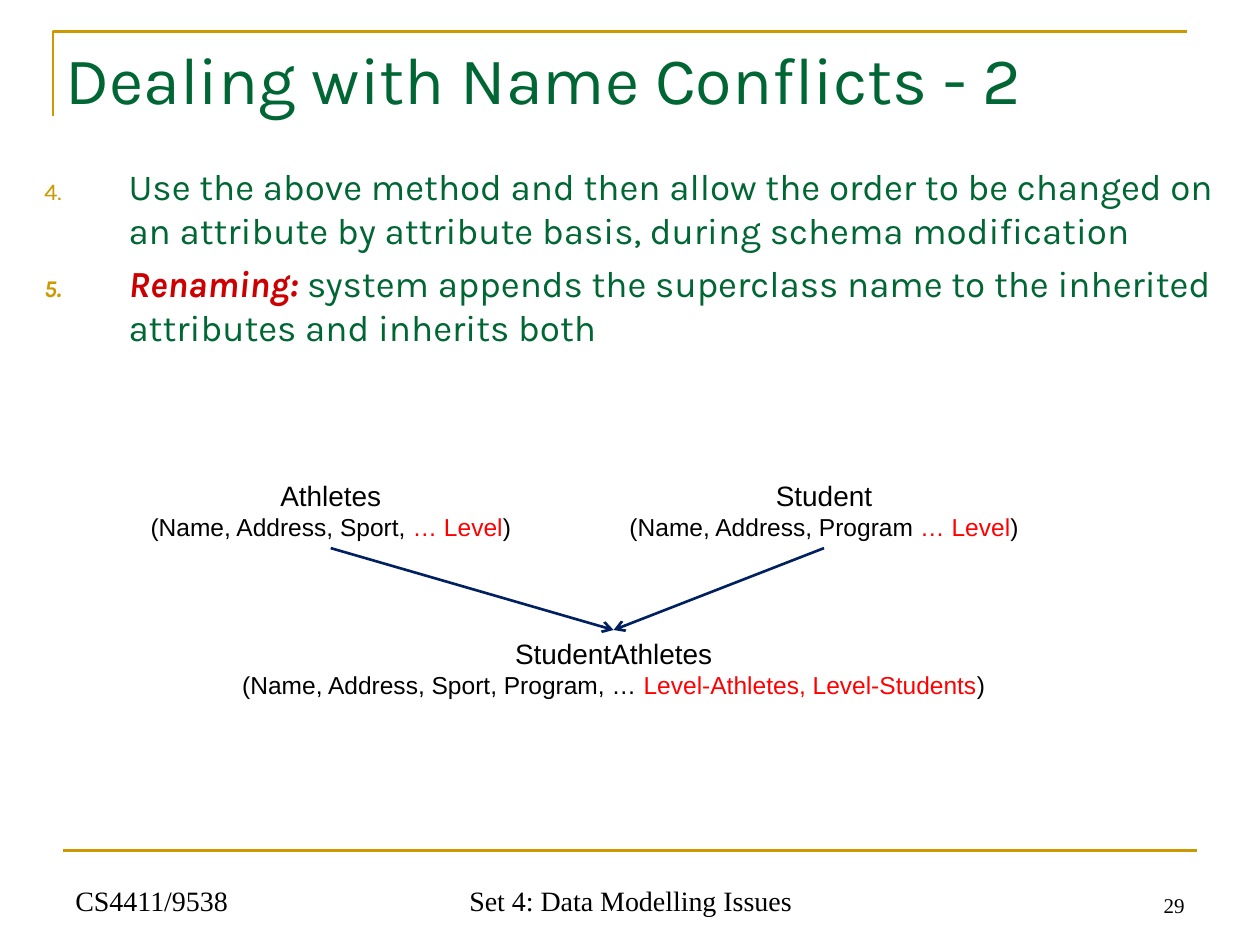
from lxml.etree import SubElement
from pptx import Presentation
from pptx.dml.color import RGBColor
from pptx.enum.shapes import MSO_CONNECTOR
from pptx.enum.text import MSO_ANCHOR, MSO_AUTO_SIZE, PP_ALIGN
from pptx.oxml.ns import qn
from pptx.util import Inches, Pt

COLORS = {
    "gold": "CC9900",
    "green": "006633",
    "renaming": "CC0000",
    "conflict": "FF0000",
    "arrow": "002060",
    "black": "000000",
}


def rgb(name):
    return RGBColor.from_string(COLORS[name])


def place(sp, left, top, width, height):
    sp.left, sp.top = Inches(left), Inches(top)
    sp.width, sp.height = Inches(width), Inches(height)


def add_run(p, text, font, size, color, bold=False):
    r = p.add_run()
    r.text = text
    r.font.name, r.font.size = font, Pt(size)
    r.font.color.rgb = rgb(color)
    r.font.bold = r.font.italic = bold


def style_line(sp, color):
    sp.line.color.rgb = rgb(color)
    sp.line.width = Pt(1.5)


def add_line(s, x1, y1, x2, y2, color):
    line = s.shapes.add_connector(
        MSO_CONNECTOR.STRAIGHT, Inches(x1), Inches(y1), Inches(x2), Inches(y2))
    style_line(line, color)
    SubElement(line._element.spPr, qn("a:effectLst"))
    return line


def add_corner(s):
    """Draw the open gold angle above and left of the title."""
    builder = s.shapes.build_freeform(Inches(0.42), Inches(0.92))
    builder.add_line_segments(
        [(Inches(0.42), Inches(0.25)), (Inches(9.42), Inches(0.25))], close=False)
    sp = builder.convert_to_shape()
    sp.fill.background()
    sp.shadow.inherit = False
    style_line(sp, "gold")


def add_footer(s, text, left, width, align, size):
    sp = s.shapes.add_textbox(Inches(left), Inches(6.83), Inches(width), Inches(0.5))
    tf = sp.text_frame
    tf.word_wrap = True
    tf.vertical_anchor = MSO_ANCHOR.BOTTOM
    p = tf.paragraphs[0]
    p.alignment = align
    add_run(p, text, "Times New Roman", size, "black")


def fill_title(sp, text):
    place(sp, 0.42, 0.25, 8.5, 0.92)
    tf = sp.text_frame
    tf.vertical_anchor = MSO_ANCHOR.TOP
    tf.auto_size = MSO_AUTO_SIZE.NONE
    p = tf.paragraphs[0]
    p.alignment = PP_ALIGN.LEFT
    add_run(p, text, "Karla", 38, "green")


def number_paragraph(p, start):
    pPr = p._p.get_or_add_pPr()
    indent = Inches(0.67)
    pPr.set("marL", str(indent))
    pPr.set("indent", str(-indent))
    color = SubElement(pPr, qn("a:buClr"))
    SubElement(color, qn("a:srgbClr"), val=COLORS["gold"])
    SubElement(pPr, qn("a:buSzPct"), val="65000")
    SubElement(pPr, qn("a:buAutoNum"), type="arabicPeriod", startAt=str(start))


def fill_list(sp, items, start):
    """Each item is a list of (text, color, bold italic) runs."""
    place(sp, 0.25, 1.25, 9.5, 2)
    tf = sp.text_frame
    tf.vertical_anchor = MSO_ANCHOR.TOP
    tf.auto_size = MSO_AUTO_SIZE.NONE
    for i, runs in enumerate(items):
        p = tf.add_paragraph() if i else tf.paragraphs[0]
        p.space_before = Pt(5.2)
        number_paragraph(p, start)
        for text, color, bold in runs:
            add_run(p, text, "Karla", 21, color, bold)


def add_class(s, name, attributes, conflicts, left, top, width):
    """Add a class name over its attributes, the conflicting ones in red."""
    sp = s.shapes.add_textbox(Inches(left), Inches(top), Inches(width), Inches(0.6))
    tf = sp.text_frame
    tf.word_wrap = False
    tf.auto_size = MSO_AUTO_SIZE.SHAPE_TO_FIT_TEXT
    heading, detail = tf.paragraphs[0], tf.add_paragraph()
    heading.alignment = detail.alignment = PP_ALIGN.CENTER
    add_run(heading, name, "Arial", 16, "black")
    add_run(detail, "(" + attributes, "Arial", 14, "black")
    add_run(detail, conflicts, "Arial", 14, "conflict")
    add_run(detail, ")", "Arial", 14, "black")
    return sp


def add_arrow(s, parent, child):
    arrow = add_line(s, 0, 0, 1, 1, "arrow")
    arrow.begin_connect(parent, 2)
    arrow.end_connect(child, 0)
    SubElement(arrow.line._get_or_add_ln(), qn("a:tailEnd"), type="arrow")


def main():
    prs = Presentation()
    prs.slide_width, prs.slide_height = Inches(10), Inches(7.5)
    s = prs.slides.add_slide(prs.slide_layouts[1])

    add_corner(s)
    add_line(s, 0.5, 6.75, 9.5, 6.75, "gold")
    add_footer(s, "CS4411/9538", 0.5, 2.33, PP_ALIGN.LEFT, 16)
    add_footer(s, "Set 4: Data Modelling Issues", 3.42, 3.17, PP_ALIGN.CENTER, 16)
    add_footer(s, "29", 7.17, 2.33, PP_ALIGN.RIGHT, 12)

    fill_title(s.shapes.title, "Dealing with Name Conflicts - 2")
    fill_list(s.placeholders[1], [
        [("Use the above method and then allow the order to be changed on "
          "an attribute by attribute basis, during schema modification",
          "green", False)],
        [("Renaming:", "renaming", True),
         (" system appends the superclass name to the inherited "
          "attributes and inherits both", "green", False)],
    ], start=4)

    athletes = add_class(s, "Athletes", "Name, Address, Sport, ", "… Level",
                         1.09, 3.75, 3.07)
    student = add_class(s, "Student", "Name, Address, Program", " … Level",
                        4.89, 3.75, 3.3)
    both = add_class(s, "StudentAthletes", "Name, Address, Sport, Program, … ",
                     "Level-Athletes, Level-Students", 1.82, 5, 6.1)
    for parent in (athletes, student):
        add_arrow(s, parent, both)

    prs.save("out.pptx")


if __name__ == "__main__":
    main()
